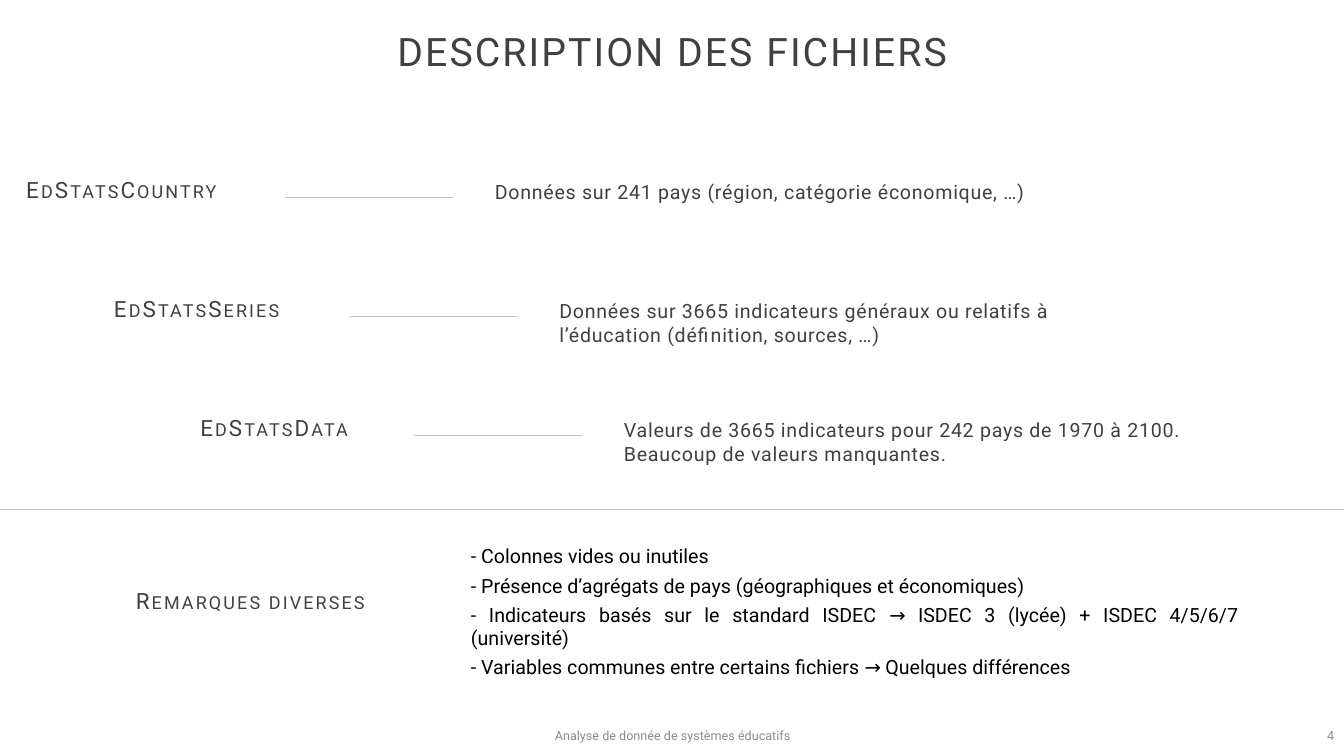
from lxml import etree
from pptx import Presentation
from pptx import util as u
from pptx.dml.color import RGBColor
from pptx.enum import shapes, text
from pptx.oxml import ns

FONT = "Roboto"
DARK = RGBColor(0x40, 0x40, 0x40)
BLACK = RGBColor(0, 0, 0)
GREY = RGBColor(0x8C, 0x8C, 0x8C)
PALE = RGBColor(0xBF, 0xBF, 0xBF)
SAND = RGBColor(0xC9, 0xC2, 0xAE)
WHITE = RGBColor(0xFF, 0xFF, 0xFF)
WIDE, HIGH = 13.33, 7.5
STEP_X, STEP_Y = 0.64, 1.18
LEFT, MID, RIGHT, JUST = (
    text.PP_ALIGN.LEFT, text.PP_ALIGN.CENTER,
    text.PP_ALIGN.RIGHT, text.PP_ALIGN.JUSTIFY)
TOP, CENTER = text.MSO_ANCHOR.TOP, text.MSO_ANCHOR.MIDDLE

FILES = [
    ("EdStatsCountry",
     "Données sur 241 pays (région, catégorie économique, …)"),
    ("EdStatsSeries",
     "Données sur 3665 indicateurs généraux ou relatifs à l’éducation "
     "(définition, sources, …)"),
    ("EdStatsData",
     "Valeurs de 3665 indicateurs pour 242 pays de 1970 à 2100. "
     "Beaucoup de valeurs manquantes."),
]
NOTES = [
    "- Colonnes vides ou inutiles",
    "- Présence d’agrégats de pays (géographiques et économiques)",
    "- Indicateurs basés sur le standard ISDEC → ISDEC 3 (lycée) "
    "+ ISDEC 4/5/6/7 (université)",
    "- Variables communes entre certains fichiers → Quelques différences",
]


def place(shape, box):
    shape.left, shape.top, shape.width, shape.height = map(u.Inches, box)


def write(shape, lines, size, color=DARK, align=LEFT, anchor=TOP,
          before=0, lead=1.0, track=0, small=False):
    frame = shape.text_frame
    frame.text = "\n".join(lines)
    frame.word_wrap = True
    frame.auto_size = text.MSO_AUTO_SIZE.NONE
    frame.vertical_anchor = anchor
    for para in frame.paragraphs:
        para.alignment = align
        para.space_before = u.Pt(before)
        para.line_spacing = lead
        font = para.font
        font.name, font.size, font.bold = FONT, u.Pt(size), False
        font.color.rgb = color
        props = para._p.get_or_add_pPr()
        props.set("marL", "0")
        props.set("indent", "0")
        run = props.find(ns.qn("a:defRPr"))
        run.addprevious(etree.Element(ns.qn("a:buNone")))
        run.set("spc", str(int(track * 100)))
        if small:
            run.set("cap", "small")


def add_box(slide, box):
    return slide.shapes.add_textbox(*map(u.Inches, box))


def add_rule(slide, x, y, width, color, weight):
    rule = slide.shapes.add_connector(
        shapes.MSO_CONNECTOR.STRAIGHT,
        *map(u.Inches, (x, y, x + width, y)))
    rule.line.color.rgb = color
    rule.line.width = u.Pt(weight)
    etree.SubElement(rule._element.spPr, ns.qn("a:effectLst"))


def add_label(shape, name):
    write(shape, [name], 16, align=RIGHT, anchor=CENTER,
          before=10, lead=0.9, track=1.5, small=True)


def add_title(slide, box):
    title = slide.shapes.title
    place(title, box)
    write(title, ["DESCRIPTION DES FICHIERS"], 28, align=MID,
          anchor=CENTER, lead=0.9, track=1.5)


def add_file(slide, holder, x, y, name, about):
    place(holder, (x, y, 2.34, 0.56))
    add_label(holder, name)
    add_rule(slide, x + 2.67, y + 0.34, 1.66, PALE, 0.5)
    write(add_box(slide, (x + 4.65, y + 0.12, 6.06, 1.11)), [about], 14,
          before=10, track=0.5)


def add_notes(slide, holder, y):
    add_rule(slide, 0, y, WIDE, SAND, 0.75)
    add_label(add_box(slide, (1.25, y + 0.68, 2.47, 0.49)),
              "Remarques diverses")
    place(holder, (4.57, y + 0.3, 7.82, 1.5))
    write(holder, NOTES, 14, color=BLACK, align=JUST, before=4)


def add_footer(slide, y, high):
    foot = add_box(slide, (5.36, y, 2.62, high))
    foot.fill.solid()
    foot.fill.fore_color.rgb = WHITE
    write(foot, ["Analyse de donnée de systèmes éducatifs"], 9,
          color=GREY, align=MID, anchor=CENTER)
    page = add_box(slide, (WIDE - 0.59, y, 0.59, high))
    write(page, ["4"], 9, color=GREY, align=RIGHT, anchor=CENTER)


def main():
    deck = Presentation()
    deck.slide_width, deck.slide_height = u.Inches(WIDE), u.Inches(HIGH)
    slide = deck.slides.add_slide(deck.slide_layouts.get_by_name("Comparison"))
    *heads, body = list(slide.placeholders)[1:]
    add_title(slide, (3.58, 0.21, 6.18, 0.64))
    for i, (holder, file) in enumerate(zip(heads, FILES)):
        add_file(slide, holder, 0.16 + i * STEP_X, 1.62 + i * STEP_Y, *file)
    add_notes(slide, body, 5.05)
    add_footer(slide, HIGH - 0.4, 0.4)
    deck.save("out.pptx")


if __name__ == "__main__":
    main()
